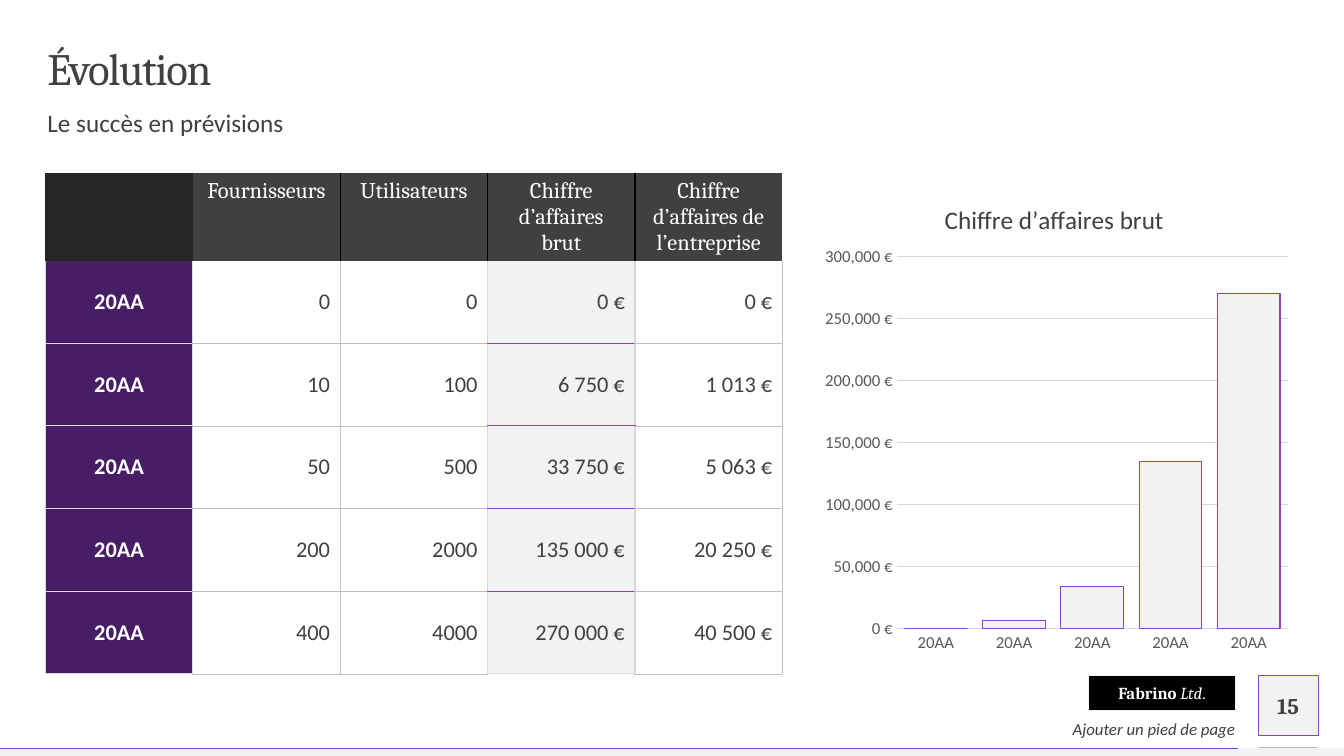
from dataclasses import dataclass

from lxml import etree
from pptx import Presentation
from pptx import util as u
from pptx.chart.data import CategoryChartData
from pptx.dml.color import RGBColor
from pptx.enum import chart as ch, shapes, text
from pptx.oxml import parse_xml
from pptx.oxml.ns import nsdecls, qn

Inches, Pt = u.Inches, u.Pt
ALIGN, ANCHOR = text.PP_ALIGN, text.MSO_ANCHOR


@dataclass(frozen=True)
class Theme:
    head: str = "Cambria"
    body: str = "Calibri"
    ink: str = "404040"
    axis: str = "595959"
    dark: str = "262626"
    black: str = "000000"
    white: str = "FFFFFF"
    pale: str = "F2F2F2"
    rule: str = "D9D9D9"
    grid: str = "BFBFBF"
    violet: str = "8E40C8"
    plum: str = "471E66"
    title: int = 32
    lead: int = 18
    cell: int = 16
    small: int = 12


T = Theme()
YEARS = ["20AA"] * 5
HEADERS = ["", "Fournisseurs", "Utilisateurs", "Chiffre d’affaires brut",
           "Chiffre d’affaires de l’entreprise"]
ROWS = [
    ["0", "0", "0 €", "0 €"],
    ["10", "100", "6 750 €", "1 013 €"],
    ["50", "500", "33 750 €", "5 063 €"],
    ["200", "2000", "135 000 €", "20 250 €"],
    ["400", "4000", "270 000 €", "40 500 €"],
]
GROSS = [0, 7000, 34000, 135000, 270000]
GROSS_COL = 3


def rgb(value):
    return RGBColor.from_string(value)


def set_font(font, size, color=T.ink, name=T.body, bold=False, italic=False):
    font.size, font.name, font.bold, font.italic = Pt(size), name, bold, italic
    font.color.rgb = rgb(color)


def write(tf, words, size, align=ALIGN.LEFT, anchor=ANCHOR.TOP, inset=0, **fmt):
    """Write one paragraph; words is a string or a list of (string, format)."""
    tf.word_wrap = True
    tf.auto_size = text.MSO_AUTO_SIZE.NONE
    tf.vertical_anchor = anchor
    tf.margin_left = tf.margin_right = tf.margin_top = tf.margin_bottom = Inches(inset)
    p = tf.paragraphs[0]
    p.alignment = align
    for part, extra in [(words, {})] if isinstance(words, str) else words:
        r = p.add_run()
        r.text = part
        set_font(r.font, size, **{**fmt, **extra})
    return p


def place(sp, box):
    sp.left, sp.top, sp.width, sp.height = (Inches(v) for v in box)


def add_box(s, box, fill, line=None, width=0.25):
    sp = s.shapes.add_shape(shapes.MSO_SHAPE.RECTANGLE, *(Inches(v) for v in box))
    sp.shadow.inherit = False
    sp.fill.solid()
    sp.fill.fore_color.rgb = rgb(fill)
    if line:
        sp.line.color.rgb = rgb(line)
        sp.line.width = Pt(width)
    else:
        sp.line.fill.background()
    return sp


def add_rule(s, x1, x2, y, color, width):
    c = s.shapes.add_connector(shapes.MSO_CONNECTOR.STRAIGHT,
                               *(Inches(v) for v in (x1, y, x2, y)))
    c.line.color.rgb = rgb(color)
    c.line.width = Pt(width)
    etree.SubElement(c._element.spPr, qn("a:effectLst"))


def set_borders(cell, **sides):
    """Sides L, R, T, B as (colour, points), in schema order before the fill."""
    tc_pr = cell._tc.get_or_add_tcPr()
    for i, side in enumerate(k for k in "LRTB" if k in sides):
        color, width = sides[side]
        tc_pr.insert(i, parse_xml(
            f'<a:ln{side} {nsdecls("a")} w="{int(Pt(width))}"><a:solidFill>'
            f'<a:srgbClr val="{color}"/></a:solidFill></a:ln{side}>'))


def add_heading(s, box):
    x, y, w = box
    # Title
    title = s.shapes.title
    place(title, (x, y, w, 0.47))
    p = write(title.text_frame, "Évolution", T.title, anchor=ANCHOR.MIDDLE, name=T.head)
    p.line_spacing = 0.9
    p.runs[0]._r.get_or_add_rPr().set("spc", "-100")
    # Subtitle
    body = s.placeholders[1]
    place(body, (x, y + 0.63, w, 0.39))
    p = write(body.text_frame, "Le succès en prévisions", T.lead)
    p.line_spacing, p.space_before = 0.9, Pt(10)
    p_pr = p._p.get_or_add_pPr()
    p_pr.set("marL", "0")
    p_pr.set("indent", "0")
    etree.SubElement(p_pr, qn("a:buNone"))


def style_cell(cell, row, col, words):
    rule, thin, accent = (T.rule, 1), (T.grid, 0.25), (T.violet, 1)
    fmt = dict(color=T.ink, align=ALIGN.RIGHT, anchor=ANCHOR.MIDDLE)
    fill = None
    if row == 0:
        fill = T.ink if col else T.dark
        fmt = dict(color=T.white, name=T.head, align=ALIGN.CENTER)
        sides = {k: (T.black, 1) for k, on in (("L", col > 1), ("R", 0 < col < 4)) if on}
    elif col == 0:
        fill = T.plum
        fmt.update(color=T.white, bold=True, align=ALIGN.CENTER)
        sides = dict.fromkeys("LRB" if row == 1 else "LRTB", rule)
    else:
        gross = col == GROSS_COL
        fill = T.pale if gross else None
        across = accent if gross else thin
        sides = {"L": thin if col == 2 else rule,
                 "R": rule if col in (2, GROSS_COL) else thin,
                 "B": rule if gross and row == len(ROWS) else across}
        if row > 1:
            sides["T"] = across
    if fill:
        cell.fill.solid()
        cell.fill.fore_color.rgb = rgb(fill)
    else:
        cell.fill.background()
    set_borders(cell, **sides)
    cell.vertical_anchor = fmt.pop("anchor", ANCHOR.TOP)
    p = cell.text_frame.paragraphs[0]
    p.alignment = fmt.pop("align")
    if words:
        r = p.add_run()
        r.text = words
        set_font(r.font, T.cell, **fmt)


def add_forecast_table(s, box):
    grid = [HEADERS] + [[year] + row for year, row in zip(YEARS, ROWS)]
    frame = s.shapes.add_table(len(grid), len(HEADERS), *(Inches(v) for v in box))
    table = frame.table
    table.first_row = table.horz_banding = False
    table._tbl.tblPr.find(qn("a:tableStyleId")).text = "{2D5ABB26-0587-4C30-8999-92F81FD0307C}"
    for col in table.columns:
        col.width = Inches(box[2] / len(HEADERS))
    for i, row in enumerate(grid):
        table.rows[i].height = Inches(0.82 if i else 0.66)
        for j, words in enumerate(row):
            style_cell(table.cell(i, j), i, j, words)


def set_layout(parent, after, **values):
    """Fix a chart part at fractions of the chart area."""
    for old in parent.findall(qn("c:layout")):
        parent.remove(old)
    target = '<c:layoutTarget val="inner"/>' if "w" in values else ""
    modes = "".join(f'<c:{k}Mode val="edge"/>' for k in "xy")
    sizes = "".join(f'<c:{k} val="{v}"/>' for k, v in values.items())
    parent.insert(after, parse_xml(
        f'<c:layout {nsdecls("c")}><c:manualLayout>{target}{modes}{sizes}'
        '</c:manualLayout></c:layout>'))


def add_gross_chart(s, box):
    data = CategoryChartData()
    data.categories = YEARS
    data.add_series("Series 1", GROSS)
    chart = s.shapes.add_chart(ch.XL_CHART_TYPE.COLUMN_CLUSTERED,
                               *(Inches(v) for v in box), data).chart
    set_font(chart.font, 10, T.black)
    chart.has_legend = False
    # Title and plot area
    p = chart.chart_title.text_frame.paragraphs[0]
    r = p.add_run()
    r.text = "Chiffre d’affaires brut"
    set_font(r.font, T.lead)
    set_layout(chart.chart_title._element, 1, x=0.26, y=0.05)
    set_layout(chart._chartSpace.chart.plotArea, 0, x=0.17, y=0.17, w=0.81, h=0.76)
    # Columns
    plot = chart.plots[0]
    plot.gap_width, plot.vary_by_categories = 25, False
    fmt = plot.series[0].format
    fmt.fill.solid()
    fmt.fill.fore_color.rgb = rgb(T.pale)
    fmt.line.color.rgb = rgb(T.violet)
    fmt.line.width = Pt(0.75)
    # Axes
    cat, val = chart.category_axis, chart.value_axis
    for axis in (cat, val):
        axis.major_tick_mark = axis.minor_tick_mark = ch.XL_TICK_MARK.NONE
        set_font(axis.tick_labels.font, T.small, T.axis)
    for line in (cat.format.line, val.major_gridlines.format.line):
        line.color.rgb = rgb(T.rule)
        line.width = Pt(0.75)
    val.format.line.fill.background()
    val.minimum_scale, val.maximum_scale, val.major_unit = 0, 300000, 50000
    val.tick_labels.number_format = "#,##0\\ [$€-40C]"
    val.tick_labels.number_format_is_linked = False


def add_footer(s, box):
    x, y, w = box
    right, side = x + w, 0.59
    # Bottom strip
    add_box(s, (0, 7.42, 13.33, 0.08), T.pale)
    add_rule(s, 0, 12.28, 7.42, T.violet, 0.25)
    add_rule(s, right - side, right, 7.41, T.grid, 0.5)
    # Company label
    label = add_box(s, (right - 2.27, y, 1.45, 0.35), T.black, T.pale, 0.75)
    write(label.text_frame, [("Fabrino ", {"bold": True}), ("Ltd", {"italic": True}), (".", {})],
          T.small, ALIGN.CENTER, ANCHOR.MIDDLE, color=T.white, name=T.head)
    # Footer text
    note = s.shapes.add_textbox(*(Inches(v) for v in (right - 5.32, y + 0.4, 4.5, 0.23)))
    write(note.text_frame, "Ajouter un pied de page", T.small, ALIGN.RIGHT,
          ANCHOR.BOTTOM, italic=True)
    # Slide number
    number = add_box(s, (right - side, y, side, side), T.pale, T.violet)
    write(number.text_frame, "15", T.cell, ALIGN.CENTER, ANCHOR.MIDDLE, name=T.head, bold=True)


def main():
    prs = Presentation()
    prs.slide_width, prs.slide_height = Inches(13.33), Inches(7.5)
    s = prs.slides.add_slide(prs.slide_layouts[1])
    add_footer(s, (0, 6.7, 13.07))
    add_heading(s, (0.47, 0.47, 12.4))
    add_forecast_table(s, (0.45, 1.72, 7.31, 4.76))
    add_gross_chart(s, (8.08, 1.72, 4.79, 4.86))
    prs.save("out.pptx")


if __name__ == "__main__":
    main()
